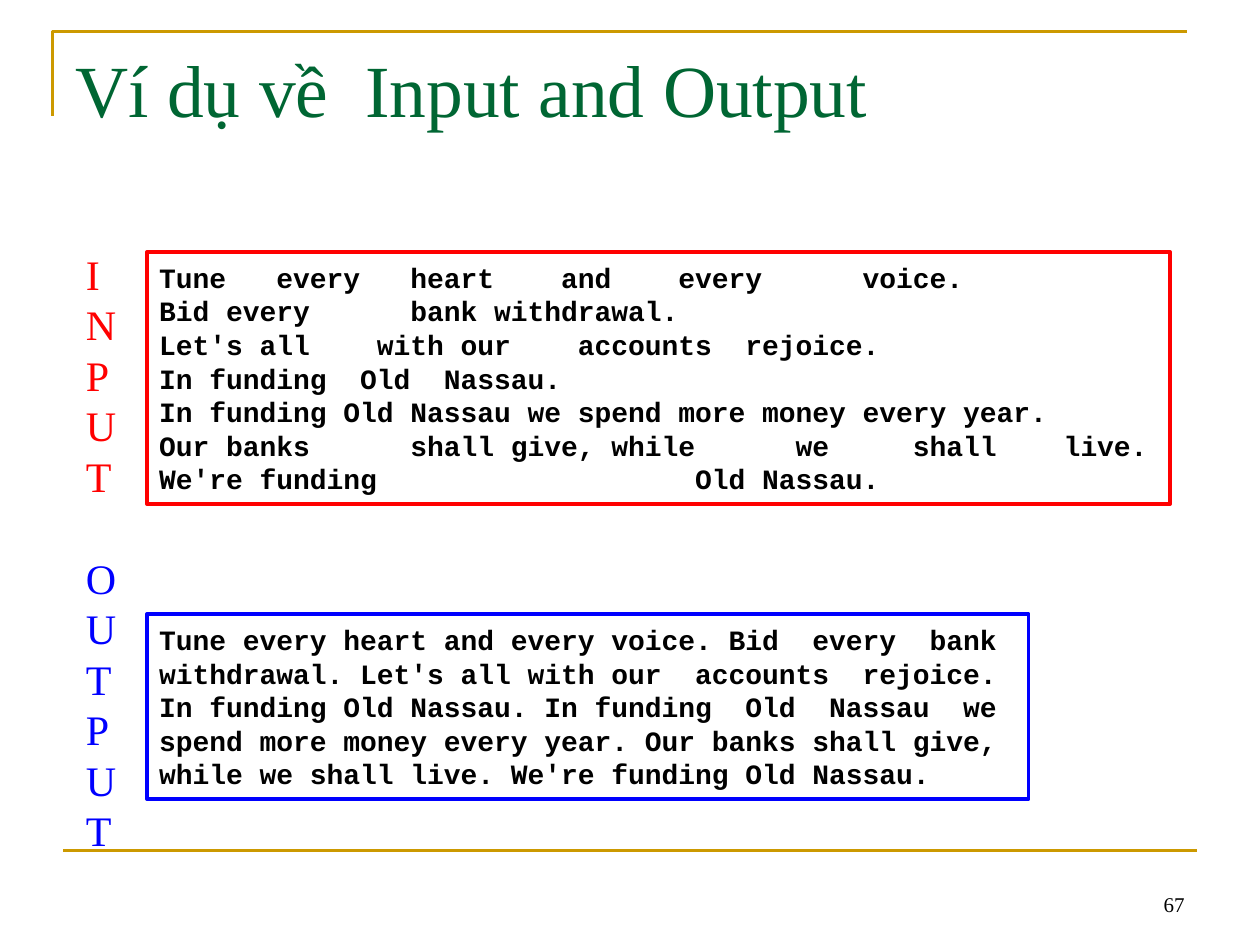
from lxml.etree import SubElement
from pptx import Presentation
from pptx.dml.color import RGBColor
from pptx.enum.shapes import MSO_CONNECTOR, MSO_SHAPE
from pptx.enum.text import MSO_ANCHOR, PP_ALIGN
from pptx.oxml.ns import qn
from pptx.util import Cm, Pt

GOLD, GREEN, RED, BLUE, BLACK = "CC9900", "006633", "FF0000", "0000FF", "000000"
SERIF, MONO = "Times New Roman", "Courier New"

INPUT_LINES = [
    "Tune   every   heart    and    every      voice.",
    "Bid every      bank withdrawal.",
    "Let's all    with our    accounts  rejoice.",
    "In funding  Old  Nassau.",
    "In funding Old Nassau we spend more money every year.",
    "Our banks      shall give, while      we     shall    live.",
    "We're funding                   Old Nassau.",
]
OUTPUT_LINES = [
    "Tune every heart and every voice. Bid  every  bank",
    "withdrawal. Let's all with our  accounts  rejoice.",
    "In funding Old Nassau. In funding  Old  Nassau  we",
    "spend more money every year. Our banks shall give,",
    "while we shall live. We're funding Old Nassau.",
]


def color(hex_string):
    return RGBColor.from_string(hex_string)


def place(shape, box):
    for side, length in zip(("left", "top", "width", "height"), box):
        setattr(shape, side, Cm(length))


class SlideBuilder:
    LINE_FACTOR = 1.2

    def __init__(self, slide):
        self.slide = slide
        self.shapes = slide.shapes

    def fill_text(self, shape, lines, size, font, ink, anchor=MSO_ANCHOR.TOP,
                  wrap=True, bold=False, align=PP_ALIGN.LEFT, spacing=None):
        frame = shape.text_frame
        frame_format = {
            "word_wrap": wrap, "vertical_anchor": anchor,
            "margin_left": Cm(0.25), "margin_right": Cm(0.25),
            "margin_top": Cm(0.13), "margin_bottom": Cm(0.13),
        }
        for name, value in frame_format.items():
            setattr(frame, name, value)
        for index, line in enumerate(lines):
            paragraph = frame.add_paragraph() if index else frame.paragraphs[0]
            paragraph.alignment = align
            paragraph.line_spacing = spacing
            run = paragraph.add_run()
            run.text = line
            for name, value in {"name": font, "size": Pt(size), "bold": bold}.items():
                setattr(run.font, name, value)
            run.font.color.rgb = color(ink)

    def title(self, wording, box):
        title = self.shapes.title
        place(title, box)
        self.fill_text(title, [wording], 42, SERIF, GREEN)

    def text(self, lines, box, size, ink, **options):
        self.fill_text(self.shapes.add_textbox(*map(Cm, box)), lines, size, SERIF, ink, **options)

    def vertical_label(self, word, left, top, ink):
        """Stack the letters of a word, one to a line."""
        size = 24
        spacing = Pt(size * self.LINE_FACTOR)
        height = len(word) * spacing.cm + 0.25
        self.text(word, (left, top, 1.12, height), size, ink, wrap=False, spacing=spacing)

    def code_box(self, lines, box, outline):
        size = 16
        frame = self.shapes.add_shape(MSO_SHAPE.RECTANGLE, *map(Cm, box))
        frame.shadow.inherit = False
        frame.fill.background()
        frame.line.color.rgb = color(outline)
        frame.line.width = Pt(2)
        self.fill_text(frame, lines, size, MONO, BLACK, anchor=MSO_ANCHOR.MIDDLE,
                       bold=True, spacing=Pt(size * self.LINE_FACTOR))

    def corner(self, left, top, right, bottom):
        """Draw the open angle at the top left of the slide."""
        outline = self.shapes.build_freeform(Cm(left), Cm(bottom))
        outline.add_line_segments([(Cm(left), Cm(top)), (Cm(right), Cm(top))], close=False)
        angle = outline.convert_to_shape()
        angle.shadow.inherit = False
        angle.fill.background()
        self.gold_line(angle)

    def rule(self, left, right, y):
        rule = self.shapes.add_connector(MSO_CONNECTOR.STRAIGHT, Cm(left), Cm(y), Cm(right), Cm(y))
        self.gold_line(rule)
        SubElement(rule._element.spPr, qn("a:effectLst"))

    def gold_line(self, shape):
        shape.line.color.rgb = color(GOLD)
        shape.line.width = Pt(1.5)


def main():
    presentation = Presentation()
    presentation.slide_width, presentation.slide_height = Cm(25.4), Cm(19.05)
    builder = SlideBuilder(presentation.slides.add_slide(presentation.slide_layouts[5]))

    builder.corner(1.06, 0.64, 23.92, 2.33)
    builder.rule(1.27, 24.13, 17.15)
    builder.text(["67"], (18.21, 17.35, 5.92, 1.27), 12, BLACK,
                 anchor=MSO_ANCHOR.BOTTOM, align=PP_ALIGN.RIGHT)
    builder.code_box(INPUT_LINES, (2.96, 5.08, 20.63, 5.08), RED)
    builder.code_box(OUTPUT_LINES, (2.96, 12.38, 17.78, 3.73), BLUE)
    builder.vertical_label("INPUT", 1.48, 4.88, RED)
    builder.vertical_label("OUTPUT", 1.48, 11.01, BLUE)
    builder.title("Ví dụ về  Input and Output", (1.27, 0.76, 22.86, 3.18))
    presentation.save("out.pptx")


if __name__ == "__main__":
    main()
